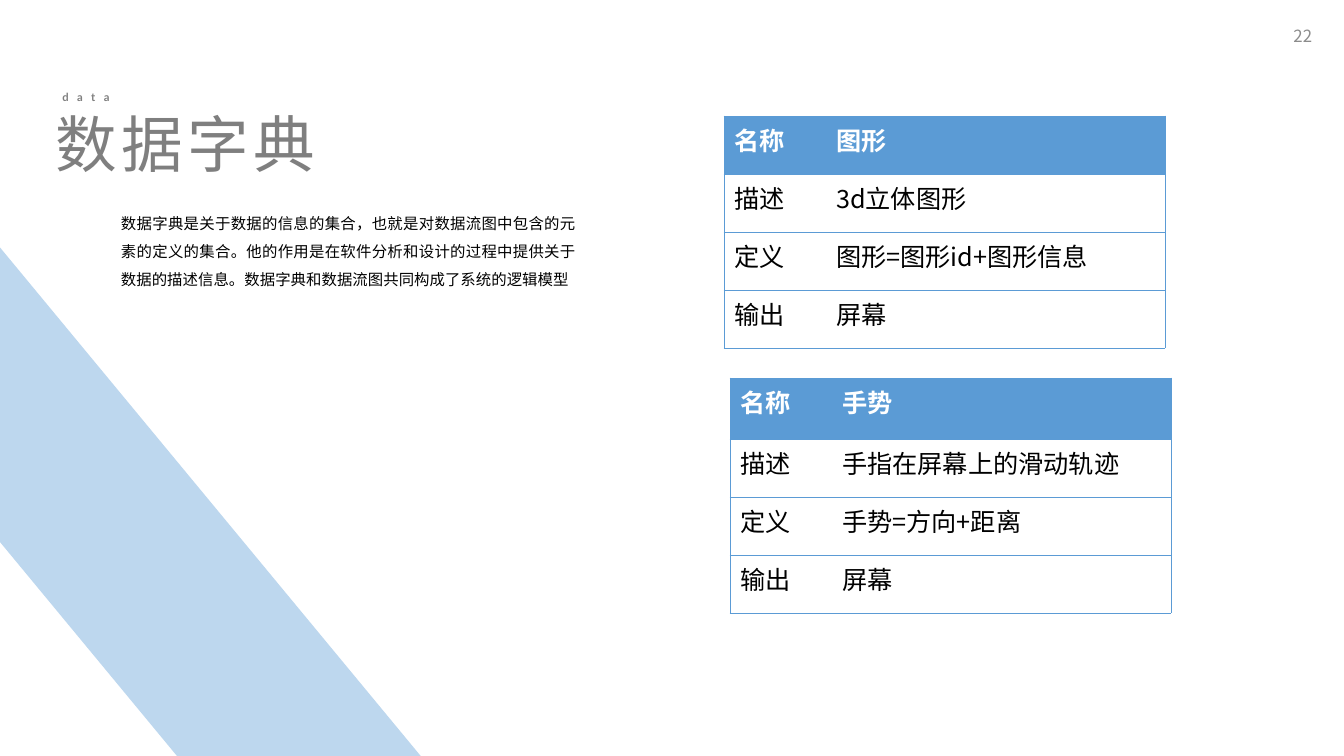
from lxml.etree import SubElement
from pptx import Presentation
from pptx.dml.color import RGBColor
from pptx.enum.shapes import MSO_SHAPE
from pptx.enum.text import MSO_ANCHOR, MSO_AUTO_SIZE, PP_ALIGN
from pptx.oxml.ns import qn
from pptx.util import Pt

GREY = RGBColor(0x7F, 0x7F, 0x7F)
PAGE_GREY = RGBColor(0x8C, 0x8C, 0x8C)
BLACK = RGBColor(0, 0, 0)
WHITE = RGBColor(0xFF, 0xFF, 0xFF)
BLUE = RGBColor(0x5B, 0x9B, 0xD5)
PALE_BLUE = RGBColor(0xBD, 0xD7, 0xEE)
CJK = "Noto Sans CJK SC"


def px(*lengths):
    return [round(n * 914400 / 100.8) for n in lengths]


def write(tf, text, font=CJK, size=18, color=BLACK, bold=False,
          align=PP_ALIGN.LEFT, line=None, spacing=0):
    p = tf.paragraphs[0]
    p.alignment = align
    p.line_spacing = line
    r = p.add_run()
    r.text = text
    r.font.name = font
    r.font.size = Pt(size)
    r.font.bold = bold
    r.font.color.rgb = color
    rPr = r.font._element
    if spacing:
        rPr.set("spc", str(spacing * 100))
    SubElement(rPr, qn("a:ea")).set("typeface", CJK)


class Deck:
    def __init__(self):
        self.prs = Presentation()
        self.prs.slide_width, self.prs.slide_height = px(1344, 756)
        self.s = self.prs.slides.add_slide(self.prs.slide_layouts[6])

    def text(self, box, text, inset=None, anchor=MSO_ANCHOR.TOP, wrap=True, **fmt):
        tf = self.s.shapes.add_textbox(*px(*box)).text_frame
        tf.word_wrap = wrap
        tf.vertical_anchor = anchor
        if inset is not None:
            tf.margin_left, tf.margin_top, tf.margin_right, tf.margin_bottom = px(*[inset] * 4)
            tf.auto_size = MSO_AUTO_SIZE.SHAPE_TO_FIT_TEXT
        write(tf, text, **fmt)

    def band(self, box, angle):
        sp = self.s.shapes.add_shape(MSO_SHAPE.PARALLELOGRAM, *px(*box))
        sp.shadow.inherit = False
        sp.rotation = angle
        sp.fill.solid()
        sp.fill.fore_color.rgb = PALE_BLUE
        sp.line.color.rgb = PALE_BLUE
        sp.line.width = Pt(1)

    def borders(self, cell, shown):
        tcPr = cell._tc.get_or_add_tcPr()
        for side in "LRTB":
            ln = SubElement(tcPr, qn(f"a:ln{side}"), w=str(Pt(0.5)))
            if side in shown:
                fill = SubElement(ln, qn("a:solidFill"))
                SubElement(fill, qn("a:srgbClr"), val=str(BLUE))
            else:
                SubElement(ln, qn("a:noFill"))

    def table(self, left, top, widths, heights, rows):
        box = px(left, top, sum(widths), sum(heights))
        table = self.s.shapes.add_table(len(rows), len(widths), *box).table
        for col, width in zip(table.columns, px(*widths)):
            col.width = width
        for row, height in zip(table.rows, px(*heights)):
            row.height = height
        for i, row in enumerate(rows):
            for j, text in enumerate(row):
                cell = table.cell(i, j)
                self.borders(cell, "LTB" if j == 0 else "RTB")
                if i == 0:
                    cell.fill.solid()
                    cell.fill.fore_color.rgb = BLUE
                else:
                    cell.fill.background()
                write(cell.text_frame, text, bold=i == 0, color=BLACK if i else WHITE)


def main():
    deck = Deck()
    deck.text((52, 116, 449, 70), "数据字典", inset=4, font="Lato", size=44,
              color=GREY, line=0.8, spacing=3)
    deck.text((54, 89, 64, 19), "data", inset=4, anchor=MSO_ANCHOR.MIDDLE, wrap=False,
              font="Lato", size=8, color=GREY, bold=True, align=PP_ALIGN.CENTER,
              line=0.8, spacing=6)
    deck.text((1278, 17, 44, 38), "22", anchor=MSO_ANCHOR.MIDDLE, size=12,
              color=PAGE_GREY, align=PP_ALIGN.RIGHT)
    deck.text((118, 202, 461, 86),
              "数据字典是关于数据的信息的集合，也就是对数据流图中包含的元素的定义的集合。"
              "他的作用是在软件分析和设计的过程中提供关于数据的描述信息。"
              "数据字典和数据流图共同构成了系统的逻辑模型",
              inset=3, font="Montserrat", size=11, align=PP_ALIGN.JUSTIFY, line=1.5)
    deck.band((37, 81, 249, 1018), 136.9)

    labels = ("名称", "描述", "定义", "输出")
    entries = (
        (724, 116, 58, ("图形", "3d立体图形", "图形=图形id+图形信息", "屏幕")),
        (730, 378, 61, ("手势", "手指在屏幕上的滑动轨迹", "手势=方向+距离", "屏幕")),
    )
    for left, top, header, values in entries:
        deck.table(left, top, (102, 339), (header, 58, 58, 58), list(zip(labels, values)))
    deck.prs.save("out.pptx")


if __name__ == "__main__":
    main()
